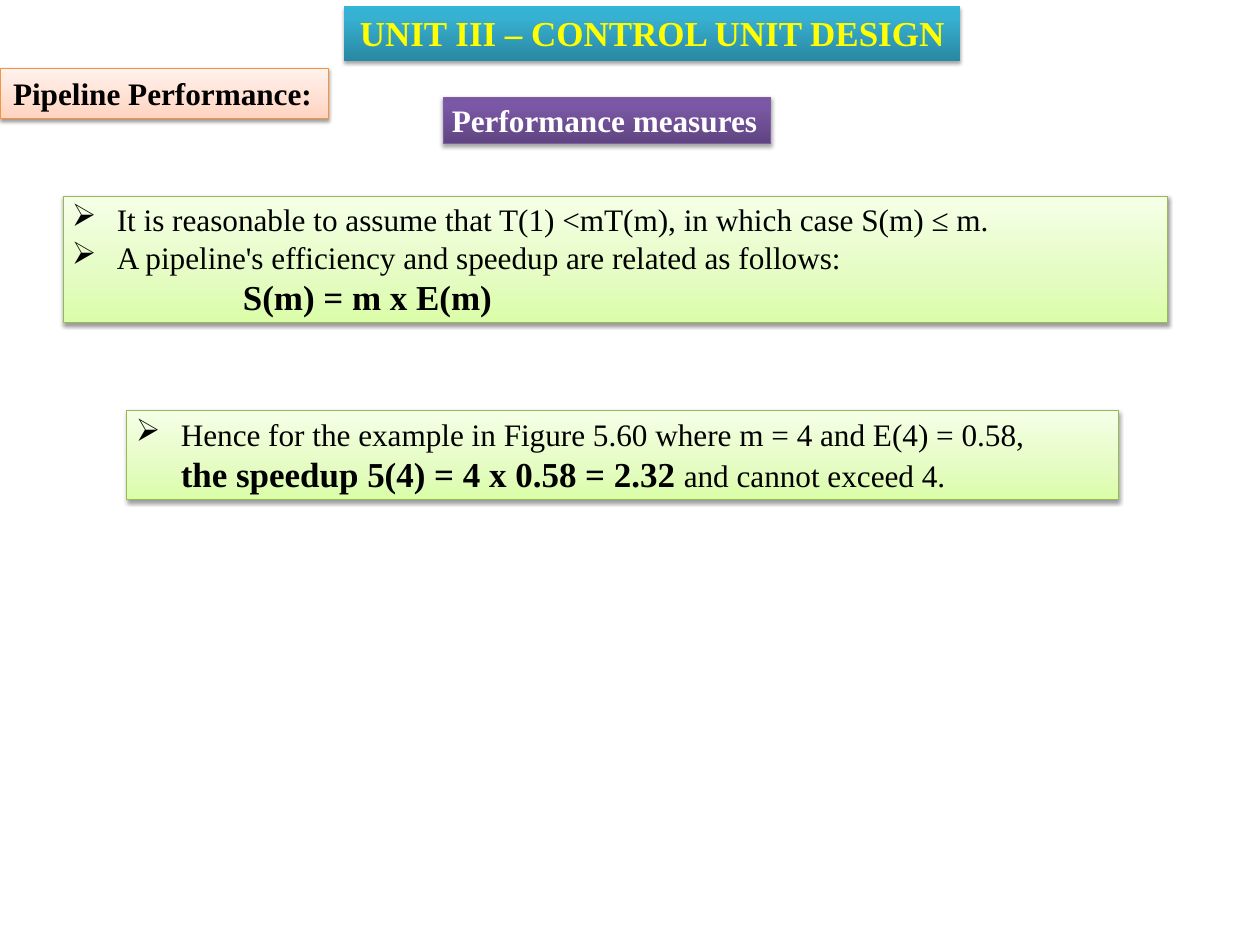
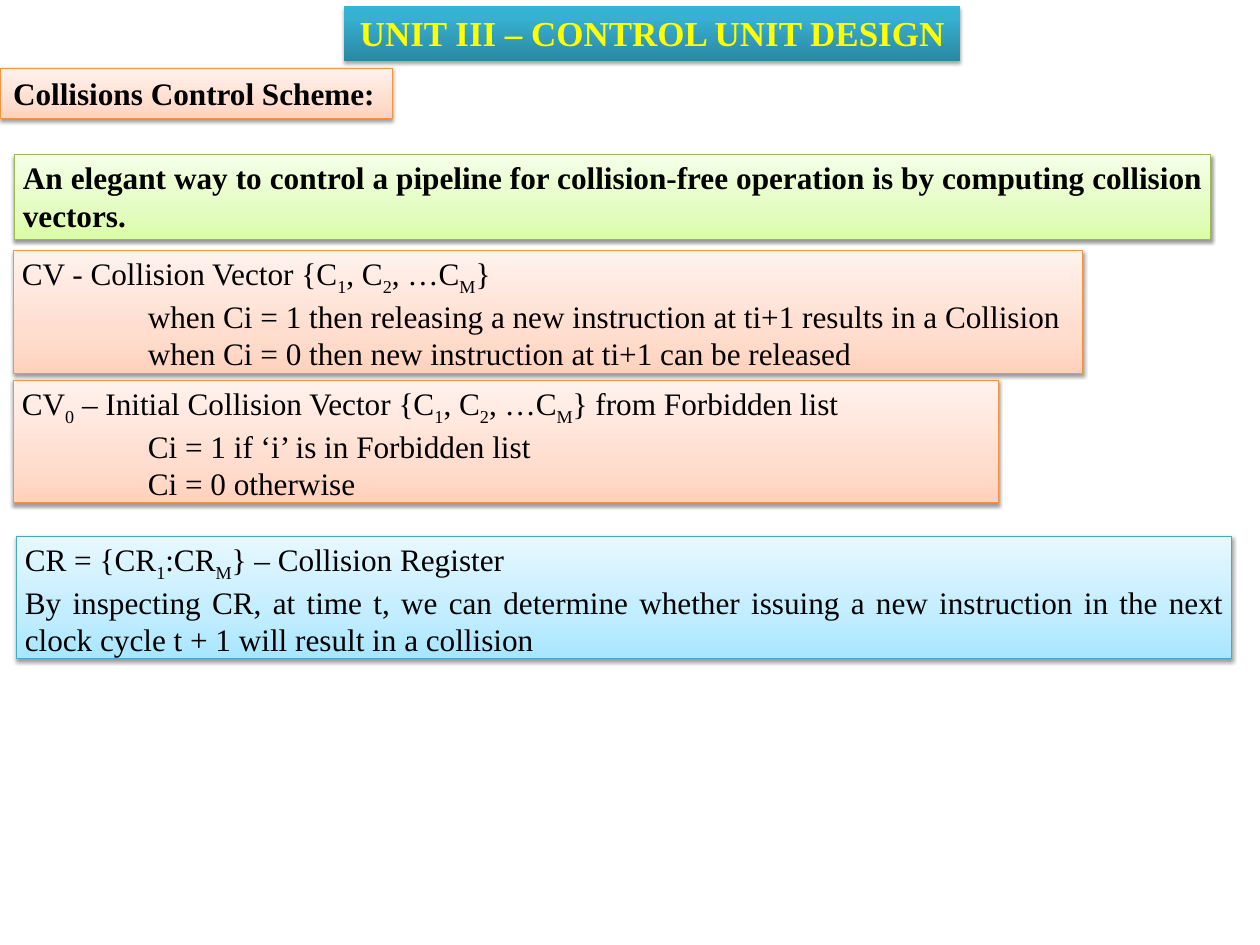
from pptx import Presentation
from pptx.dml.color import RGBColor
from pptx.enum.shapes import MSO_SHAPE
from pptx.enum.text import MSO_ANCHOR, MSO_AUTO_SIZE, PP_ALIGN
from pptx.oxml import parse_xml
from pptx.oxml.ns import nsdecls
from pptx.util import Pt

PX = 10160  # EMU per px, at 90 px to the inch
FONT = "Times New Roman"
BLACK = RGBColor(0x00, 0x00, 0x00)
WHITE = RGBColor(0xFF, 0xFF, 0xFF)
YELLOW = RGBColor(0xFF, 0xFF, 0x00)
ORANGE_LINE = RGBColor(0xF6, 0x92, 0x40)
GREEN_LINE = RGBColor(0x98, 0xB9, 0x55)
CYAN_LINE = RGBColor(0x46, 0xAA, 0xC5)
PURPLE_LINE = RGBColor(0x7D, 0x60, 0xA0)


def ramp(middle, *colours):
    """Gradient stops from bottom to top, as (percent, colour)."""
    return [(pos, RGBColor.from_string(c)) for pos, c in zip((0, middle, 100), colours)]


# Box themes: gradient, outline, shadow opacity and shadow distance
SOFT_SHADOW = {"alpha": 38, "dist": 1.6}
DEEP_SHADOW = {"alpha": 35, "dist": 1.8}
ORANGE = {"stops": ramp(35, "FFD2BD", "FFDED0", "FFF2ED"), "line": ORANGE_LINE, **SOFT_SHADOW}
GREEN = {"stops": ramp(35, "DAFDA7", "E4FCC2", "F5FFE7"), "line": GREEN_LINE, **SOFT_SHADOW}
CYAN = {"stops": ramp(35, "A7E6FF", "C1EDFF", "E7F8FF"), "line": CYAN_LINE, **SOFT_SHADOW}
TEAL = {"stops": ramp(80, "2A88A2", "37B1D2", "34B4D6"), "line": None, **DEEP_SHADOW}
PURPLE = {"stops": ramp(80, "5F4480", "7B58A6", "7C57A8"), "line": PURPLE_LINE, **DEEP_SHADOW}

# Run formats
BODY = {"name": FONT, "size": Pt(25), "bold": False}
BOLD = {**BODY, "bold": True}
LARGE = {**BOLD, "size": Pt(28)}

# Paragraph indents in px
HANG = 45
TAB = 126


def para(*runs, left=0, bullet=None):
    return {"runs": runs, "left": left, "bullet": bullet}


def subscripted(text):
    """Split at bars: every second piece is a subscript."""
    return para(*((piece, BODY, i % 2 == 1) for i, piece in enumerate(text.split("|"))))


def plain(text, left=0, bullet=None):
    return para((text, BODY), left=left, bullet=bullet)


def paint(sp, theme):
    """Gradient fill, outline and shadow."""
    sp.fill.gradient()
    sp.fill.gradient_angle = 90
    gs_lst = sp._element.spPr.find(".//{*}gsLst")
    for gs in list(gs_lst):
        gs_lst.remove(gs)
    for pos, colour in theme["stops"]:
        gs_lst.append(parse_xml(
            f'<a:gs {nsdecls("a")} pos="{pos * 1000}"><a:srgbClr val="{colour}"/></a:gs>'))
    if theme["line"] is None:
        sp.line.fill.background()
    else:
        sp.line.color.rgb = theme["line"]
        sp.line.width = Pt(0.75)
    sp.shadow.inherit = False
    sp._element.spPr.find("{*}effectLst").append(parse_xml(
        f'<a:outerShdw {nsdecls("a")} blurRad="{Pt(3.1)}" dist="{Pt(theme["dist"])}" '
        f'dir="5400000" rotWithShape="0"><a:srgbClr val="000000">'
        f'<a:alpha val="{theme["alpha"] * 1000}"/></a:srgbClr></a:outerShdw>'))


def write(p, content, colour, align):
    """Indent, bullet and runs of one paragraph."""
    p.alignment = align
    pPr = p._p.get_or_add_pPr()
    pPr.set("marL", str(content["left"] * PX))
    pPr.set("indent", str(-HANG * PX if content["bullet"] else 0))
    if content["bullet"]:
        pPr.append(parse_xml(f'<a:buChar {nsdecls("a")} char="{content["bullet"]}"/>'))
    for text, style, *subscript in content["runs"]:
        r = p.add_run()
        r.text = text
        for key, value in style.items():
            setattr(r.font, key, value)
        r.font.color.rgb = colour
        if any(subscript):
            r._r.get_or_add_rPr().set("baseline", "-25000")


def panel(s, box, theme, paras, colour=BLACK, align=PP_ALIGN.JUSTIFY, wrap=True, margins=None):
    """Shaded rectangle holding paragraphs."""
    sp = s.shapes.add_shape(MSO_SHAPE.RECTANGLE, *(n * PX for n in box))
    paint(sp, theme)
    tf = sp.text_frame
    frame = {"word_wrap": wrap, "vertical_anchor": MSO_ANCHOR.TOP,
             "auto_size": MSO_AUTO_SIZE.SHAPE_TO_FIT_TEXT}
    if margins:
        across, down = (n * PX for n in margins)
        frame.update(margin_left=across, margin_right=across, margin_top=down, margin_bottom=down)
    for key, value in frame.items():
        setattr(tf, key, value)
    for i, content in enumerate(paras):
        p = tf.add_paragraph() if i else tf.paragraphs[0]
        write(p, content, colour, align)


def header(s, topic, topic_width):
    """Unit title and topic tag shared by the slides."""
    label = {"wrap": False, "margins": (13, 6)}
    panel(s, (344, 6, 616, 55), TEAL, [para(("UNIT III – CONTROL UNIT DESIGN", LARGE))],
          colour=YELLOW, align=PP_ALIGN.CENTER, **label)
    panel(s, (0, 68, topic_width, 51), ORANGE, [para((topic, BOLD))],
          align=PP_ALIGN.LEFT, **label)


def performance_slide(s):
    header(s, "Pipeline Performance:", 328)
    # Subtitle
    panel(s, (443, 97, 328, 47), PURPLE, [para(("Performance measures", BOLD))],
          colour=WHITE, align=PP_ALIGN.LEFT, wrap=False)
    # Efficiency and speedup
    panel(s, (63, 196, 1105, 127), GREEN, [
        plain("It is reasonable to assume that T(1) <mT(m), in which case S(m) ≤ m.", HANG, "➢"),
        plain("A pipeline's efficiency and speedup are related as follows:", HANG, "➢"),
        para(("S(m) = m x E(m)", LARGE), left=HANG + TAB),
    ])
    # Worked example
    panel(s, (127, 411, 992, 89), GREEN, [
        plain("Hence for the example in Figure 5.60 where m = 4 and E(4) = 0.58,", HANG, "➢"),
        para(("the speedup 5(4) = 4 x 0.58 = 2.32 ", LARGE), ("and cannot exceed 4.", BODY),
             left=HANG),
    ])


def collision_slide(s):
    header(s, "Collisions Control Scheme:", 392)
    # Key statement
    panel(s, (14, 154, 1197, 85), GREEN, [
        para(("An elegant way to control a pipeline for collision-free operation is by "
              "computing collision vectors.", BOLD)),
    ])
    # Collision vector
    panel(s, (13, 250, 1070, 123), ORANGE, [
        subscripted("CV - Collision Vector {C|1|, C|2|, …C|M|}"),
        plain("when Ci = 1 then releasing a new instruction at ti+1 results in a Collision", TAB),
        plain("when Ci = 0 then new instruction at ti+1 can be released", TAB),
    ])
    # Initial collision vector
    panel(s, (13, 380, 985, 123), ORANGE, [
        subscripted("CV|0| – Initial Collision Vector {C|1|, C|2|, …C|M|} from Forbidden list"),
        plain("Ci = 1 if ‘i’ is in Forbidden list", TAB),
        plain("Ci = 0 otherwise", TAB),
    ])
    # Collision register
    panel(s, (16, 536, 1216, 123), CYAN, [
        subscripted("CR = {CR|1|:CR|M|} – Collision Register"),
        plain("By inspecting CR, at time t, we can determine whether issuing a new instruction "
              "in the next clock cycle t + 1 will result in a collision"),
    ])


def main():
    prs = Presentation()
    prs.slide_width, prs.slide_height = 1260 * PX, 945 * PX
    for build in (performance_slide, collision_slide):
        build(prs.slides.add_slide(prs.slide_layouts[6]))
    prs.save("out.pptx")


if __name__ == "__main__":
    main()
